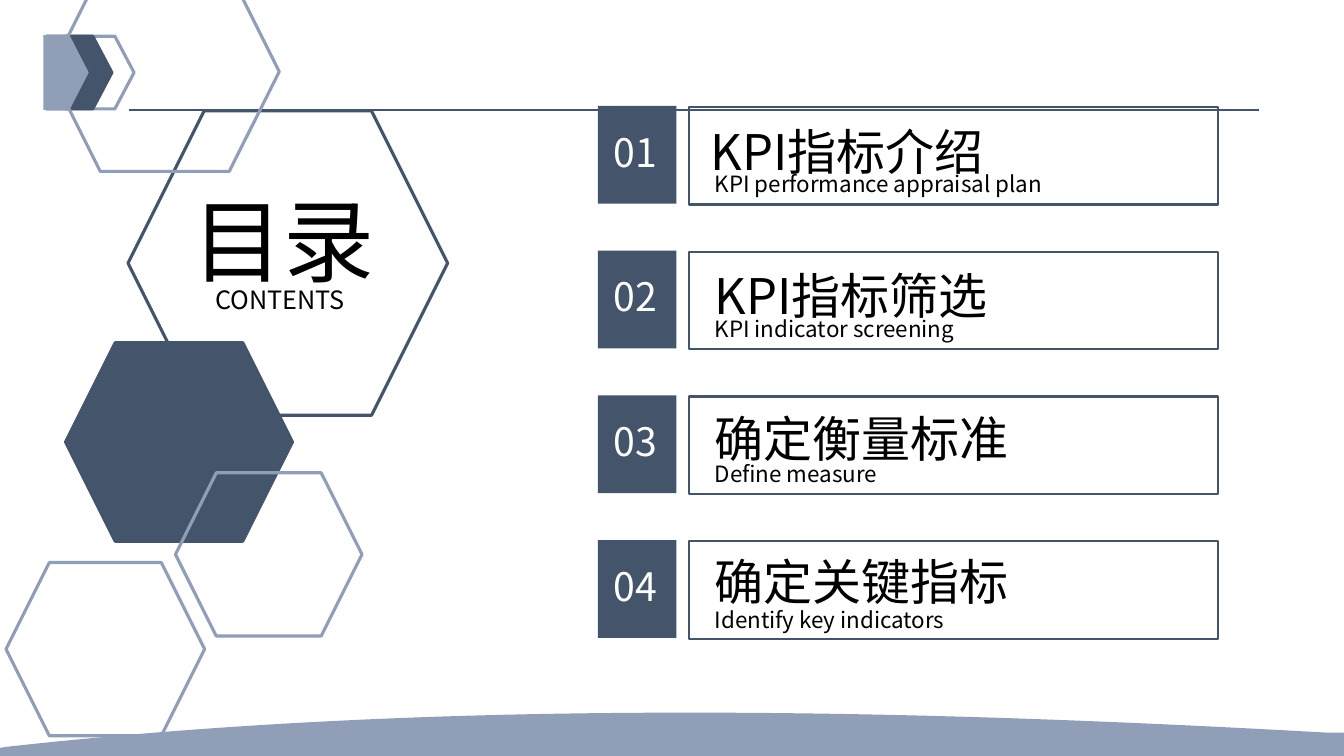
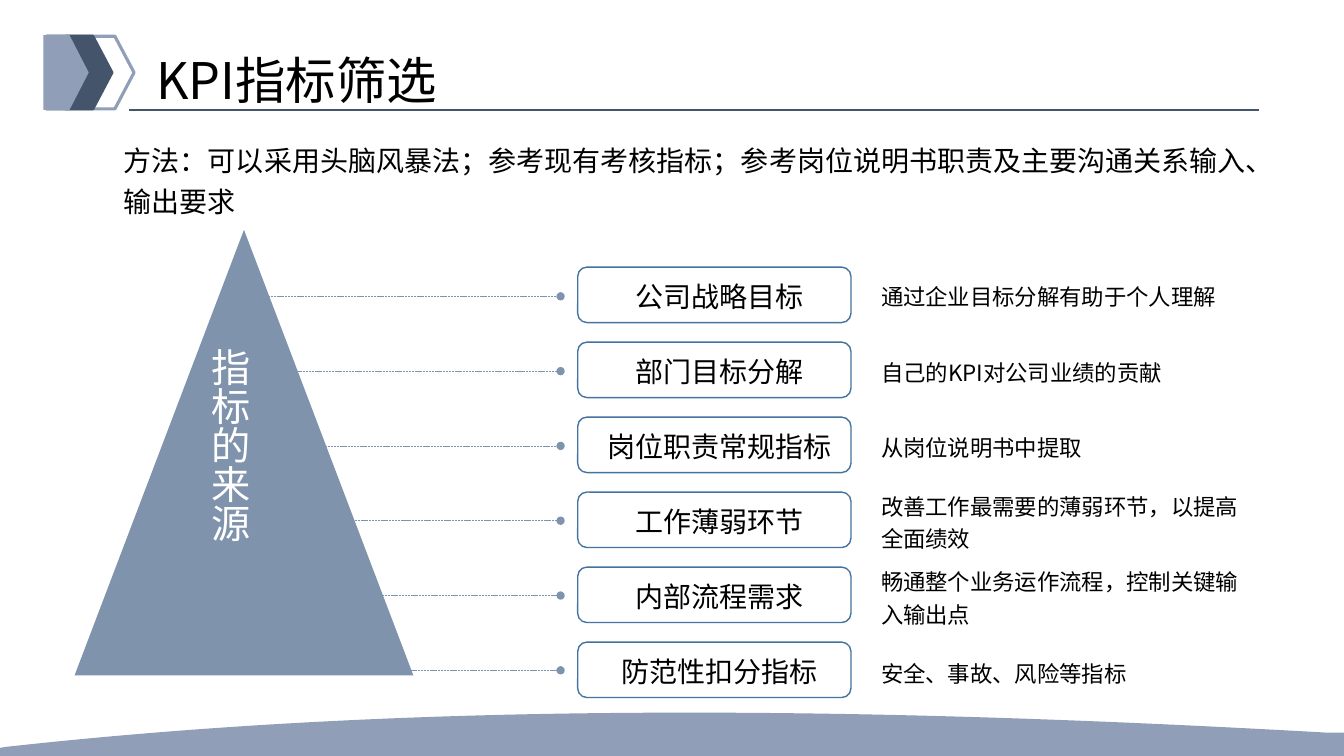
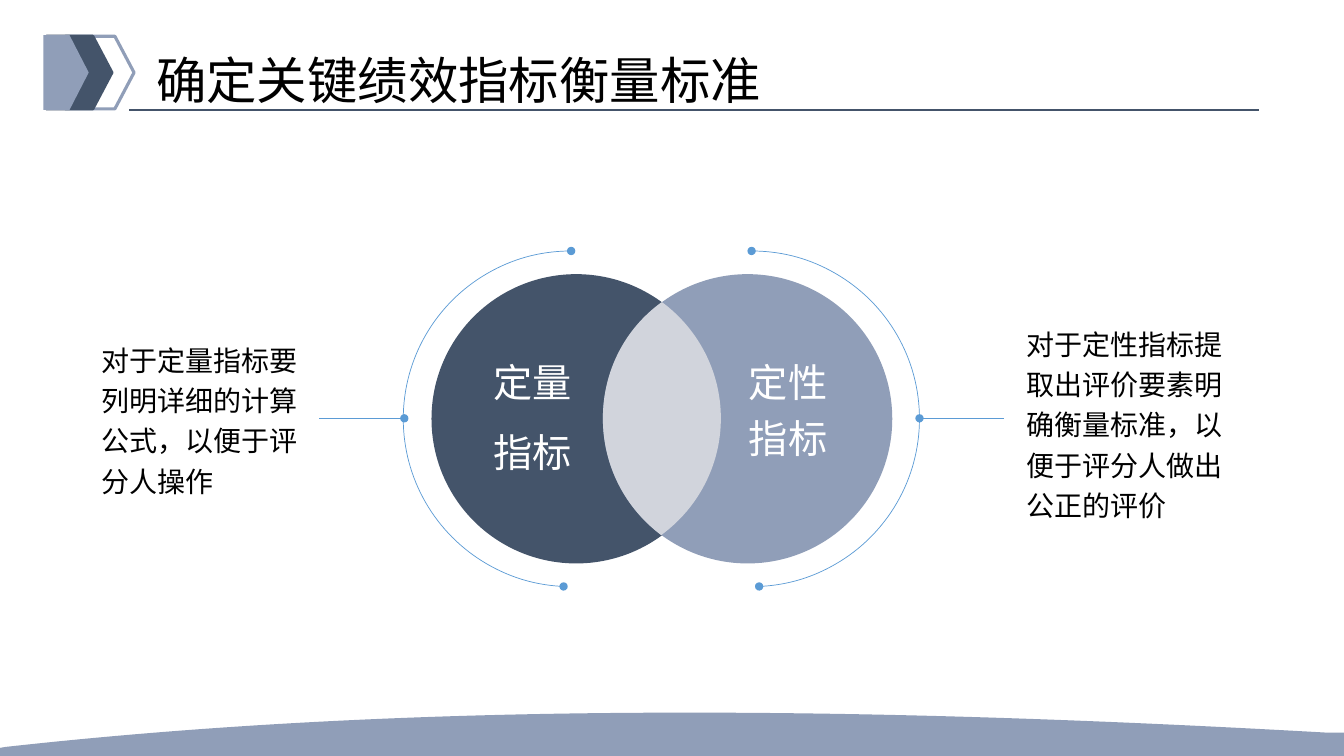
from lxml.etree import SubElement
from pptx import Presentation
from pptx.dml.color import RGBColor
from pptx.enum.dml import MSO_LINE as Dash
from pptx.enum.shapes import MSO_CONNECTOR as Conn, MSO_SHAPE as Kind
from pptx.enum.text import MSO_ANCHOR as Anchor, MSO_AUTO_SIZE as Auto, PP_ALIGN as Align
from pptx.oxml.ns import qn
from pptx.util import Inches, Pt

JP, SC = "Noto Sans CJK JP", "Noto Sans CJK SC"
HUE = {
    "dark": "44546A", "pale": "909EB8", "slate": "7F93AD", "dots": "7E93AD",
    "edge": "43739E", "sky": "5B9BD5", "lens": "D1D4DC",
    "white": "FFFFFF", "black": "000000",
}

WAVE = [
    (6.84, 7.07), (8.95, 7.07), (11.06, 7.15), (13.18, 7.27), (13.33, 7.27), (13.33, 7.5),
    (0, 7.5), (0, 7.42), (0.06, 7.41), (2.32, 7.16), (4.58, 7.07), (6.84, 7.07),
]
LENS = [
    (6.56, 3), (6.57, 3), (6.92, 3.26), (7.15, 3.68), (7.15, 4.15),
    (7.15, 4.62), (6.92, 5.04), (6.57, 5.3), (6.56, 5.31),
    (6.2, 5.04), (5.98, 4.62), (5.98, 4.15), (5.98, 3.68), (6.2, 3.26), (6.56, 3),
]
TOPICS = [
    ("KPI指标介绍", "KPI performance appraisal plan", 6.95, 5.06),
    ("KPI指标筛选", "KPI indicator screening", 6.99, 5.05),
    ("确定衡量标准", "Define measure", 6.99, 5.05),
    ("确定关键指标", "Identify key indicators", 6.99, 5.05),
]
HEXES = [
    ((1.27, 1.1, 3.17, 3.02), None, "dark"),
    ((0.65, 3.4, 2.25, 1.97), "dark", "dark"),
    ((1.74, 4.69, 1.85, 1.62), None, "pale"),
    ((0.5, -0.28, 2.27, 1.98), None, "pale"),
    ((0.06, 5.58, 1.97, 1.72), None, "pale"),
]
METHOD = "方法：可以采用头脑风暴法；参考现有考核指标；参考岗位说明书职责及主要沟通关系输入、输出要求"
SOURCES = [
    ("公司战略目标", "通过企业目标分解有助于个人理解", 2.29),
    ("部门目标分解", "自己的KPI对公司业绩的贡献", 2.27),
    ("岗位职责常规指标", "从岗位说明书中提取", 2.83),
    ("工作薄弱环节", "改善工作最需要的薄弱环节，以提高全面绩效", 2.84),
    ("内部流程需求", "畅通整个业务运作流程，控制关键输入输出点", 3.25),
    ("防范性扣分指标", "安全、事故、风险等指标", 3.75),
]
SIDES = [
    (["定量", "指标"], 4.8, 4.0, True, (4.01, 3.16),
     "对于定量指标要列明详细的计算公式，以便于评分人操作", (0.91, 3.29, 2.15, 1.72)),
    (["定性指标"], 7.33, 5.79, False, (9.12, 9.96),
     "对于定性指标提取出评价要素明确衡量标准，以便于评分人做出公正的评价", (10.08, 3.13, 2.15, 2.12)),
]


def rgb(name):
    return RGBColor.from_string(HUE[name])


def paint(part, fill=None, line=None, width=1):
    part.shadow.inherit = False
    if fill:
        part.fill.solid()
        part.fill.fore_color.rgb = rgb(fill)
    else:
        part.fill.background()
    if line:
        part.line.color.rgb = rgb(line)
        part.line.width = Pt(width)
    else:
        part.line.fill.background()
    return part


def shape(slide, kind, box, fill=None, line=None, width=1):
    part = slide.shapes.add_shape(kind, *map(Inches, box))
    return paint(part, fill, line, width)


def outline(slide, points, fill=None, line=None, width=1, bends=()):
    spots = [(Inches(x), Inches(y)) for x, y in points]
    form = slide.shapes.build_freeform(*spots[0])
    form.add_line_segments(spots[1:], close=True)
    part = form.convert_to_shape()
    legs = list(part._element.iter(qn("a:lnTo")))
    for n in bends:
        first, *others = legs[n - 1:n + 2]
        first.tag = qn("a:cubicBezTo")
        for leg in others:
            first.append(leg[0])
            leg.getparent().remove(leg)
    return paint(part, fill, line, width)


def ends(part, *tags):
    for tag in tags:
        SubElement(part.line._get_or_add_ln(), qn(tag), type="oval")


def rule(slide, x, far, y, color, width, dash=None):
    part = slide.shapes.add_connector(Conn.STRAIGHT, *map(Inches, (x, y, far, y)))
    SubElement(part._element.spPr, qn("a:effectLst"))
    part.line.color.rgb = rgb(color)
    part.line.width = Pt(width)
    if dash:
        part.line.dash_style = dash
    return part


def text(slide, box, lines, size, color="black", face=SC, align=Align.LEFT,
         space=None, before=None, grow=True, wrap=True, anchor=Anchor.TOP):
    part = slide.shapes.add_textbox(*map(Inches, box))
    frame = part.text_frame
    frame.word_wrap = wrap
    frame.auto_size = Auto.SHAPE_TO_FIT_TEXT if grow else Auto.NONE
    frame.vertical_anchor = anchor
    frame.text = "\n".join(lines)
    for para in frame.paragraphs:
        para.alignment = align
        if space:
            para.line_spacing = space
        if before:
            para.space_before = Pt(before)
        font = para.font
        font.size, font.name = Pt(size), face
        font.color.rgb = rgb(color)
        SubElement(font._element, qn("a:ea"), typeface=face)
    return frame


def base(deck, title=None):
    slide = deck.slides.add_slide(deck.slide_layouts[6])
    outline(slide, [(0.65, 0.36), (1.14, 0.36), (1.33, 0.72), (1.14, 1.08),
                    (0.65, 1.08), (0.46, 0.72)], None, "pale", 2.25)
    for x, y, bend, tip, low, fill, line in [(0.46, 0.36, 0.92, 1.11, 1.08, "dark", "dark"),
                                             (0.43, 0.35, 0.69, 0.88, 1.09, "pale", None)]:
        outline(slide, [(x, y), (bend, y), (tip, 0.72), (bend, low), (x, low)],
                fill, line, 2.25)
    rule(slide, 1.28, 12.49, 1.09, "dark", 1.5)
    outline(slide, WAVE, "pale", bends=(1, 9))
    if title:
        text(slide, (1.45, 0.32, 11.5, 1.01), [title], 36, space=0.9,
             grow=False, anchor=Anchor.MIDDLE)
    return slide


def contents(deck):
    slide = base(deck)
    text(slide, (1.81, 1.78, 2.1, 1.19), ["目录"], 65, face=JP)
    shape(slide, Kind.HEXAGON, *HEXES[0], 2.25)
    text(slide, (2.04, 2.77, 1.55, 0.4), ["CONTENTS"], 18, face=JP, align=Align.JUSTIFY)
    for cell in HEXES[1:3]:
        shape(slide, Kind.HEXAGON, *cell, 2.25)
    for n, (head, sub, x, wide) in enumerate(TOPICS):
        step = n * 4.31 / 3
        text(slide, (x, 1.16 + 1.42 * n, wide, 0.69), [head], 35, face=JP, align=Align.JUSTIFY)
        text(slide, (6.99, 1.64 + 1.44 * n, 4.95, 0.37), [sub], 16, face=JP, align=Align.JUSTIFY)
        shape(slide, Kind.RECTANGLE, (5.93, 1.05 + step, 0.78, 0.97), "dark")
        shape(slide, Kind.RECTANGLE, (6.83, 1.06 + step, 5.25, 0.97), None, "dark", 1.5)
        text(slide, (5.99, 1.22 + step, 0.65, 0.57), [f"{n + 1:02}"], 28, "white", wrap=False)
    for cell in HEXES[3:]:
        shape(slide, Kind.HEXAGON, *cell, 2.25)


def screening(deck):
    slide = base(deck, "KPI指标筛选")
    shape(slide, Kind.ISOSCELES_TRIANGLE, (0.74, 2.28, 3.36, 4.42), "slate")
    pitch = 3.72 / 5
    for n, (label, note, x) in enumerate(SOURCES):
        line = rule(slide, x, 5.56, 2.94 + n * 3.71 / 5, "dots", 0.5, Dash.SQUARE_DOT)
        ends(line, "a:tailEnd")
    frame = text(slide, (1.76, 3.45, 1, 3.01), ["指标的来源"], 28, "white",
                 align=Align.JUSTIFY, space=1.2, before=10, grow=False)
    frame._txBody.bodyPr.set("vert", "eaVert")
    frame.margin_right, frame.margin_top = Inches(0.15), 0
    for n, (label, note, x) in enumerate(SOURCES):
        text(slide, (5.84, 2.72 + n * pitch, 2.6, 0.44), [label], 20, align=Align.CENTER)
        shape(slide, Kind.ROUNDED_RECTANGLE, (5.73, 2.65 + n * pitch, 2.71, 0.55), None, "edge")
    for n, (label, note, x) in enumerate(SOURCES):
        high = 0.75 if len(note) > 17 else 0.42
        text(slide, (8.64, 2.92 + n * 3.74 / 5 - high / 2, 3.93, high), [note], 16, space=1.2)
    text(slide, (1.13, 1.31, 11.5, 0.88), [METHOD], 20, space=1.2, before=10, grow=False)


def measures(deck):
    slide = base(deck, "确定关键绩效指标衡量标准")
    for x, color in [(4.28, "dark"), (5.98, "pale")]:
        shape(slide, Kind.OVAL, (x, 2.72, 2.87, 2.87), color)
    outline(slide, LENS, "lens", bends=(2, 5, 9, 12))
    for words, x, *rest in SIDES:
        text(slide, (x, 3.41, 1.3, 1.48), words, 28, "white", space=1.2, before=10, grow=False)
    for words, x, left, flip, (near, far), note, box in SIDES:
        text(slide, box, [note], 20, space=1.2)
        arc = shape(slide, Kind.ARC, (left, 2.49, 3.33, 3.33), None, "sky", 0.5)
        arc.adjustments[0], arc.adjustments[1] = 162, 52.45
        if flip:
            arc._element.spPr.xfrm.set("flipH", "1")
        ends(arc, "a:headEnd", "a:tailEnd")
        ends(rule(slide, near, far, 4.15, "sky", 1), "a:headEnd")


def main():
    deck = Presentation()
    deck.slide_width, deck.slide_height = Inches(13.33), Inches(7.5)
    for build in (contents, screening, measures):
        build(deck)
    deck.save("out.pptx")


if __name__ == "__main__":
    main()
